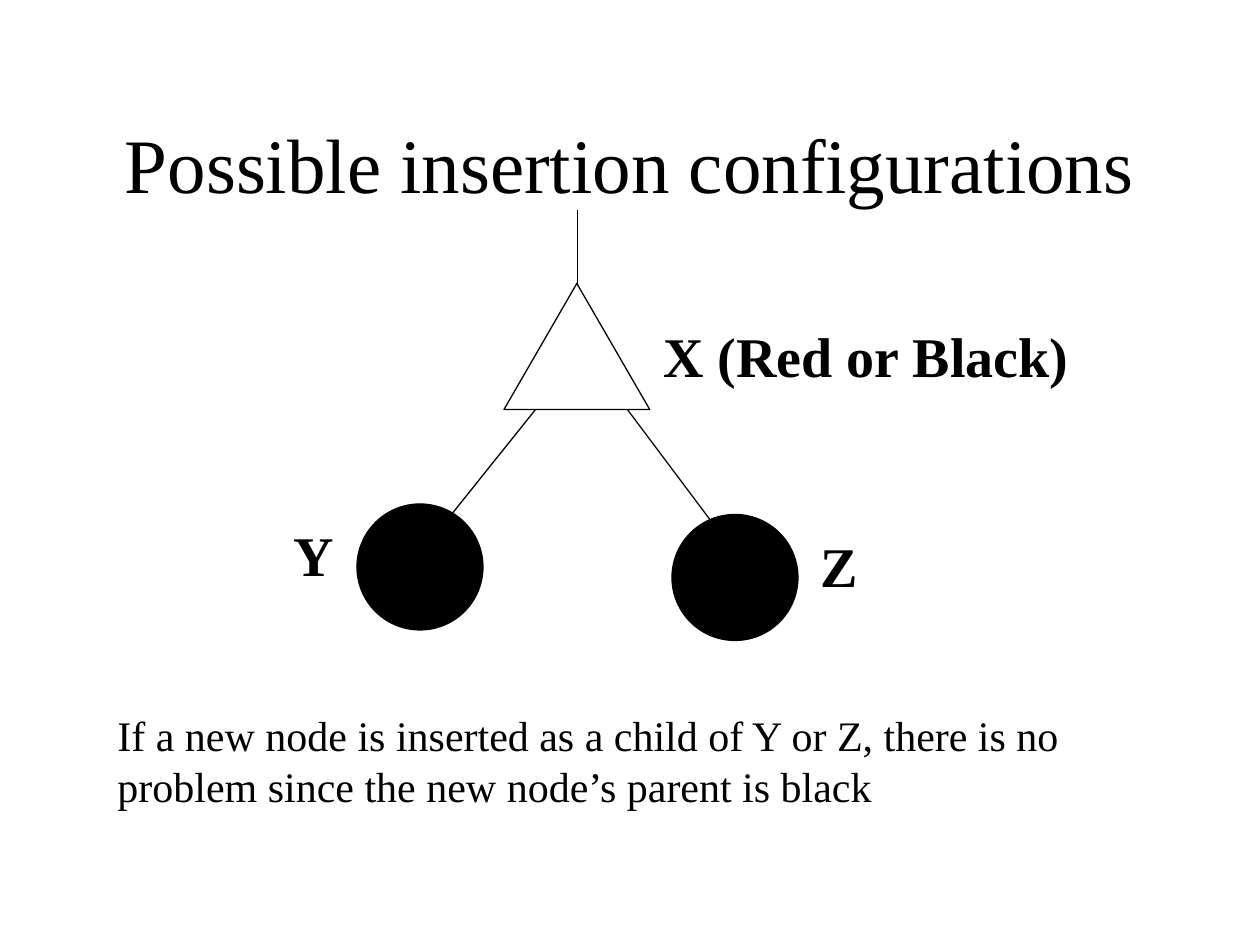
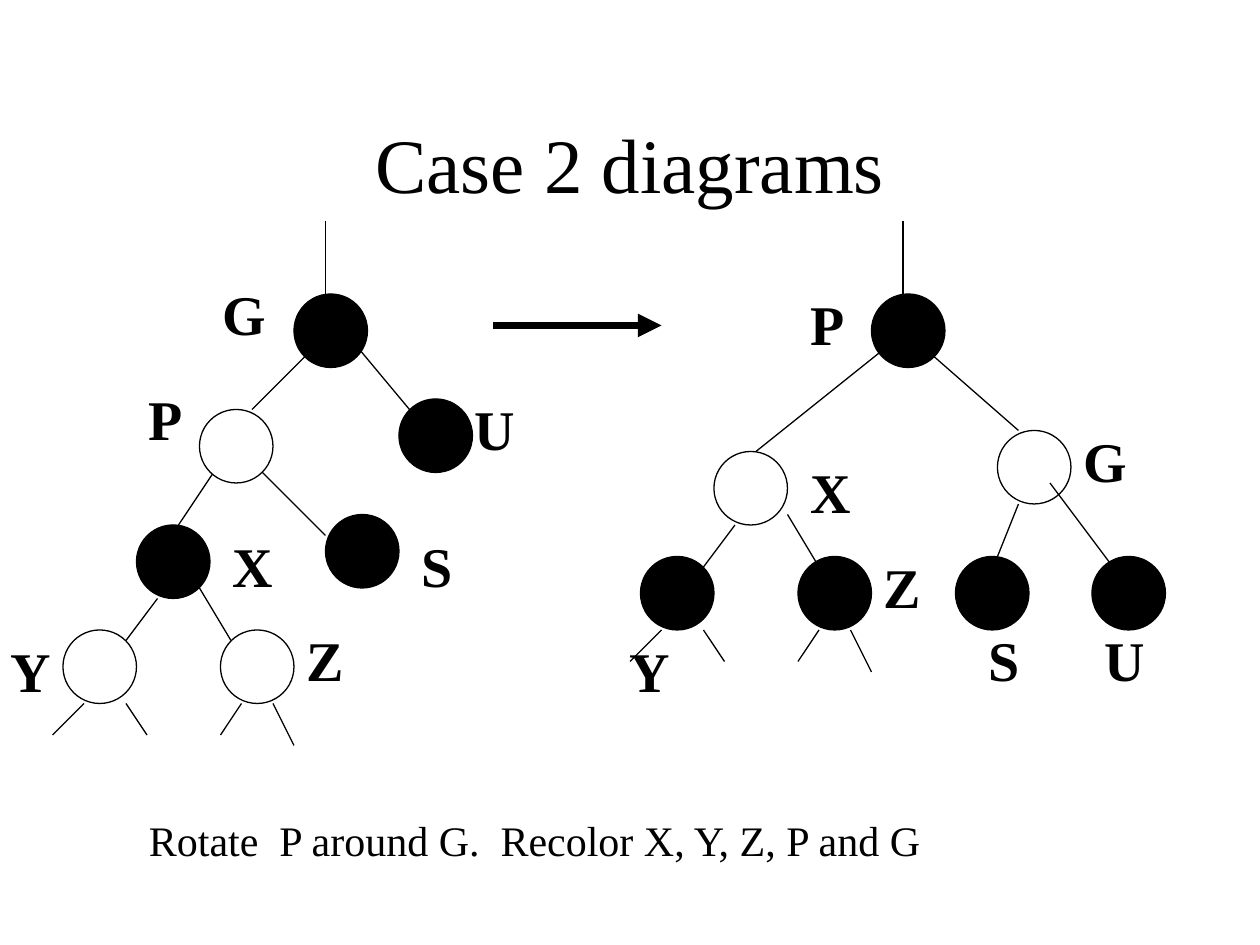
from lxml import etree
from pptx import Presentation
from pptx.dml.color import RGBColor
from pptx.enum.shapes import MSO_CONNECTOR as CONNECTOR, MSO_SHAPE as SHAPE
from pptx.enum.text import MSO_ANCHOR as ANCHOR, PP_ALIGN as ALIGN
from pptx.oxml.ns import qn
from pptx.util import Emu, Pt

PX = 9525  # 96 px to the inch
BLACK = RGBColor(0, 0, 0)
WHITE = RGBColor(255, 255, 255)
FONT = "Times New Roman"
NODE = 56
LABEL_W, LABEL_H = 56, 61


def px(*lengths):
    return [Emu(n * PX) for n in lengths]


def add_text(s, text, x, y, w, h, size, bold=False, align=ALIGN.LEFT, anchor=ANCHOR.TOP):
    tf = s.shapes.add_textbox(*px(x, y, w, h)).text_frame
    tf.word_wrap = True
    tf.vertical_anchor = anchor
    p = tf.paragraphs[0]
    p.text = text
    p.alignment = align
    p.font.name, p.font.size, p.font.bold = FONT, Pt(size), bold
    p.font.color.rgb = BLACK


def add_title(s, text):
    add_text(s, text, 72, 64, 816, 120, 44, align=ALIGN.CENTER, anchor=ANCHOR.MIDDLE)


def add_note(s, text, x, y, h):
    add_text(s, text, x, y, 800, h, 24)


def add_label(s, text, x, y, w=LABEL_W, align=ALIGN.LEFT):
    add_text(s, text, x, y, w, LABEL_H, 32, bold=True, align=align)


def add_node(s, x, y, fill, w=NODE, h=NODE, kind=SHAPE.OVAL):
    sp = s.shapes.add_shape(kind, *px(x, y, w, h))
    sp.shadow.inherit = False
    sp.fill.solid()
    sp.fill.fore_color.rgb = fill
    sp.line.color.rgb = BLACK
    sp.line.width = Pt(0.75)


def add_edge(s, x1, y1, x2, y2, width=0.75):
    line = s.shapes.add_connector(CONNECTOR.STRAIGHT, *px(x1, y1, x2, y2))
    line.line.color.rgb = BLACK
    line.line.width = Pt(width)
    etree.SubElement(line._element.spPr, qn("a:effectLst"))
    return line


def add_arrow(s, x1, y1, x2, y2):
    ln = add_edge(s, x1, y1, x2, y2, 4.5).line._get_or_add_ln()
    etree.SubElement(ln, qn("a:tailEnd"), type="triangle")


def add_tree(s, edges, nodes):
    """Draw edges, then nodes given as (label, x, y, fill, label x, label y)."""
    for edge in edges:
        add_edge(s, *edge)
    for name, x, y, fill, label_x, label_y in nodes:
        add_node(s, x, y, fill)
        add_label(s, name, label_x, label_y)


def add_x_subtree(s, x, y, x_fill, child_fill):
    """Draw X with its children Y and Z and the stubs below them."""
    stubs = [(16, 56, -8, 88),
             (-40, 136, -64, 160), (-8, 136, 8, 160),
             (80, 136, 64, 160), (104, 136, 120, 168)]
    for x1, y1, x2, y2 in stubs:
        add_edge(s, x + x1, y + y1, x + x2, y + y2)
    add_node(s, x, y, x_fill)
    for dx in (-56, 64):
        add_node(s, x + dx, y + 80, child_fill)
    add_label(s, "X", x + 64, y, 48)
    add_label(s, "Z", x + 120, y + 72)


def build_insertion(s):
    add_title(s, "Possible insertion configurations")
    for edge in [(408, 312, 344, 392), (472, 304, 544, 400), (440, 224, 440, 160)]:
        add_edge(s, *edge)
    add_node(s, 272, 384, BLACK, 96, 96)
    add_node(s, 512, 392, BLACK, 96, 96)
    add_node(s, 384, 216, WHITE, 111, 96, SHAPE.ISOSCELES_TRIANGLE)
    add_label(s, "X (Red or Black)", 496, 240, 384)
    add_label(s, "Y", 192, 392, 72, ALIGN.RIGHT)
    add_label(s, "Z", 616, 400)
    add_note(s, "If a new node is inserted as a child of Y or Z, there is no "
                "problem since the new node’s parent is black", 80, 536, 86)


def build_rotation(s):
    add_title(s, "Case 2 diagrams")
    before_edges = [(248, 224, 248, 168), (192, 312, 232, 272), (272, 264, 312, 312),
                    (136, 400, 168, 352), (200, 360, 248, 408), (152, 448, 176, 488)]
    before_nodes = [("G", 224, 224, BLACK, 160, 208),
                    ("P", 152, 312, WHITE, 104, 288),
                    ("U", 304, 304, BLACK, 352, 296),
                    ("S", 248, 392, BLACK, 312, 400)]
    after_edges = [(688, 224, 688, 168), (576, 344, 696, 248), (776, 328, 712, 272),
                   (600, 392, 624, 432), (776, 384, 760, 424)]
    after_nodes = [("P", 664, 224, BLACK, 608, 216),
                   ("G", 760, 328, WHITE, 816, 320),
                   ("S", 728, 424, BLACK, 744, 472),
                   ("U", 832, 424, BLACK, 832, 472)]
    add_tree(s, before_edges, before_nodes)
    add_x_subtree(s, 104, 400, BLACK, WHITE)
    add_label(s, "Y", -32, 480, 80, ALIGN.RIGHT)
    add_tree(s, after_edges, after_nodes)
    add_edge(s, 800, 368, 848, 432)  # starts inside G, so it lies on top
    add_x_subtree(s, 544, 344, WHITE, BLACK)
    add_label(s, "Y", 440, 480, 80, ALIGN.RIGHT)
    add_arrow(s, 376, 248, 504, 248)
    add_note(s, "Rotate  P around G.  Recolor X, Y, Z, P and G", 104, 616, 48)


def main():
    prs = Presentation()
    prs.slide_width, prs.slide_height = px(960, 720)
    for build in (build_insertion, build_rotation):
        build(prs.slides.add_slide(prs.slide_layouts[6]))
    prs.save("out.pptx")


if __name__ == "__main__":
    main()
